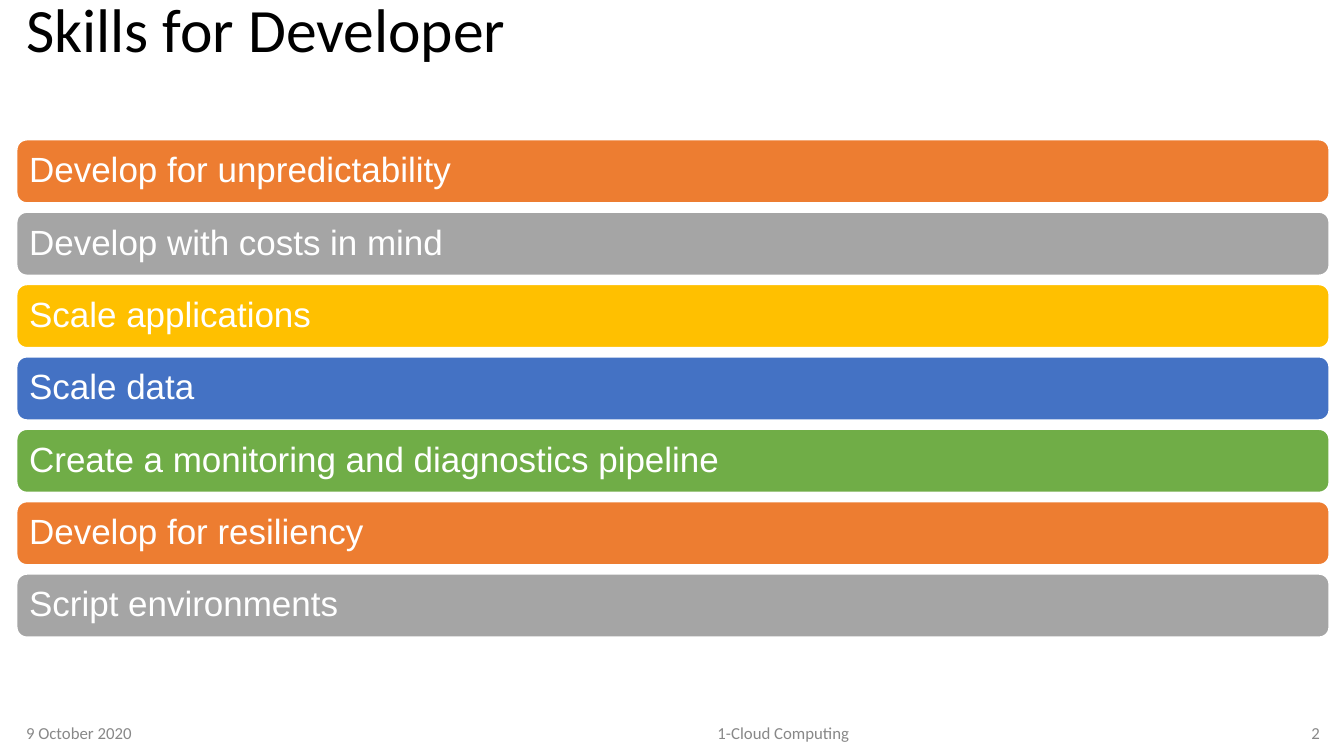
from pptx import Presentation
from pptx.dml.color import RGBColor
from pptx.enum.shapes import MSO_SHAPE
from pptx.enum.text import MSO_ANCHOR, MSO_AUTO_SIZE, PP_ALIGN
from pptx.util import Inches, Pt

BLACK = RGBColor(0x00, 0x00, 0x00)
WHITE = RGBColor(0xFF, 0xFF, 0xFF)
GREY = RGBColor(0x88, 0x88, 0x88)
ORANGE = RGBColor(0xED, 0x7D, 0x31)
SILVER = RGBColor(0xA5, 0xA5, 0xA5)
GOLD = RGBColor(0xFF, 0xC0, 0x00)
BLUE = RGBColor(0x44, 0x72, 0xC4)
GREEN = RGBColor(0x70, 0xAD, 0x47)
HUES = [ORANGE, SILVER, GOLD, BLUE, GREEN]

LEFT, WIDTH = 0.16, 13.03
BAR_TOP, BAR_HIGH, BAR_STEP = 1.38, 0.64, 0.718

SKILLS = [
    "Develop for unpredictability",
    "Develop with costs in mind",
    "Scale applications",
    "Scale data",
    "Create a monitoring and diagnostics pipeline",
    "Develop for resiliency",
    "Script environments",
]
FOOTER = [
    ("9 October 2020", LEFT, 3, PP_ALIGN.LEFT),
    ("1-Cloud Computing", 3.22, 9.1, PP_ALIGN.CENTER),
    ("2", 12.4, 0.79, PP_ALIGN.RIGHT),
]


def write(shape, text, size, color, font="Calibri", align=PP_ALIGN.LEFT,
          space=1.0, pad=0.05):
    frame = shape.text_frame
    frame.word_wrap = True
    frame.auto_size = MSO_AUTO_SIZE.NONE
    frame.vertical_anchor = MSO_ANCHOR.MIDDLE
    frame.margin_left = frame.margin_right = Inches(0.1)
    frame.margin_top = frame.margin_bottom = Inches(pad)
    para = frame.paragraphs[0]
    para.alignment = align
    para.line_spacing = space
    run = para.add_run()
    run.text = text
    run.font.name = font
    run.font.size = Pt(size)
    run.font.color.rgb = color


def add_title(slide, text):
    title = slide.shapes.title
    title.left, title.top = Inches(LEFT), Inches(0)
    title.width, title.height = Inches(WIDTH), Inches(0.64)
    write(title, text, 44, BLACK, space=0.9)


def add_bar(slide, text, top, fill):
    bar = slide.shapes.add_shape(
        MSO_SHAPE.ROUNDED_RECTANGLE,
        Inches(LEFT), Inches(top), Inches(WIDTH), Inches(BAR_HIGH))
    bar.shadow.inherit = False
    bar.fill.solid()
    bar.fill.fore_color.rgb = fill
    bar.line.color.rgb = WHITE
    bar.line.width = Pt(2)
    write(bar, text, 25, WHITE, font="Arial", space=0.9, pad=0.1)


def add_note(slide, text, left, width, align):
    box = slide.shapes.add_textbox(
        Inches(left), Inches(7.07), Inches(width), Inches(0.4))
    write(box, text, 12, GREY, align=align)


def main():
    deck = Presentation()
    deck.slide_width, deck.slide_height = Inches(13.33), Inches(7.5)
    slide = deck.slides.add_slide(deck.slide_layouts[5])

    # Title
    add_title(slide, "Skills for Developer")

    # Skill bars, with the colours taken in turn
    for row, skill in enumerate(SKILLS):
        add_bar(slide, skill, BAR_TOP + row * BAR_STEP, HUES[row % len(HUES)])

    # Date, course and page number
    for note in FOOTER:
        add_note(slide, *note)

    deck.save("out.pptx")


main()
